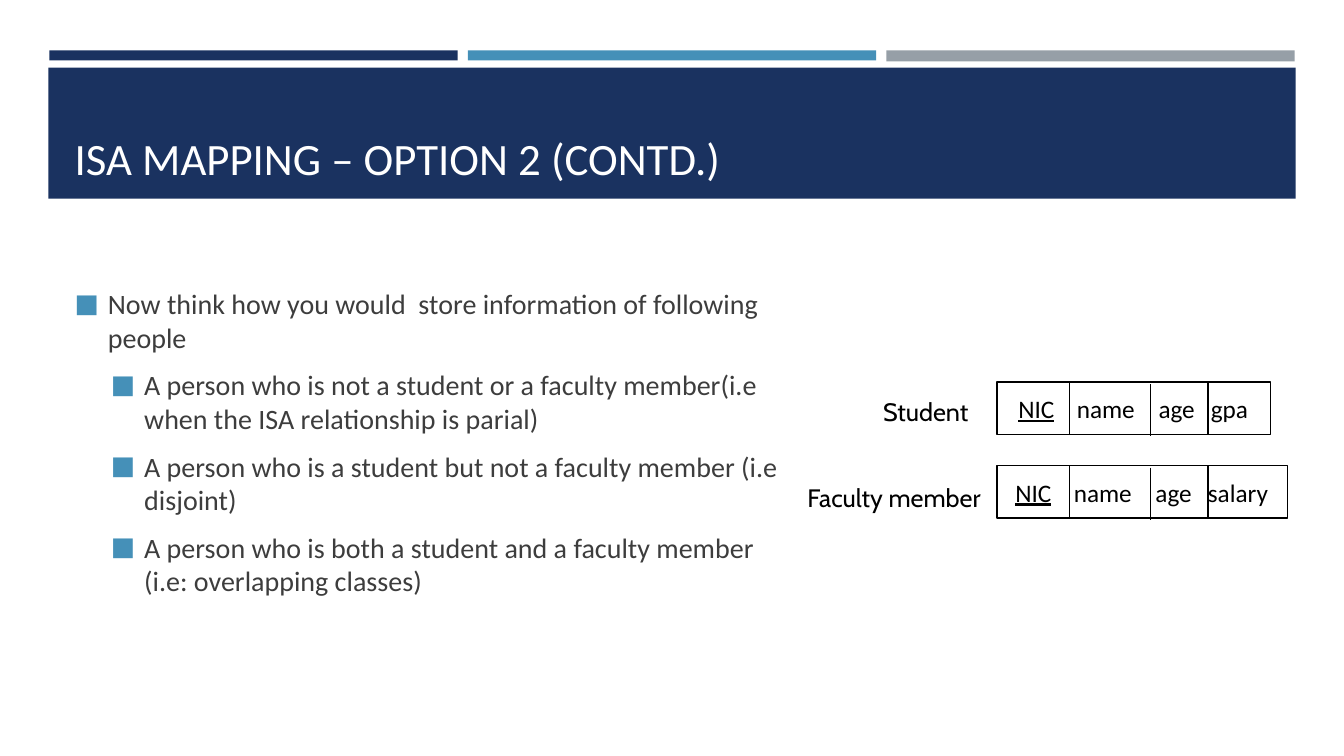
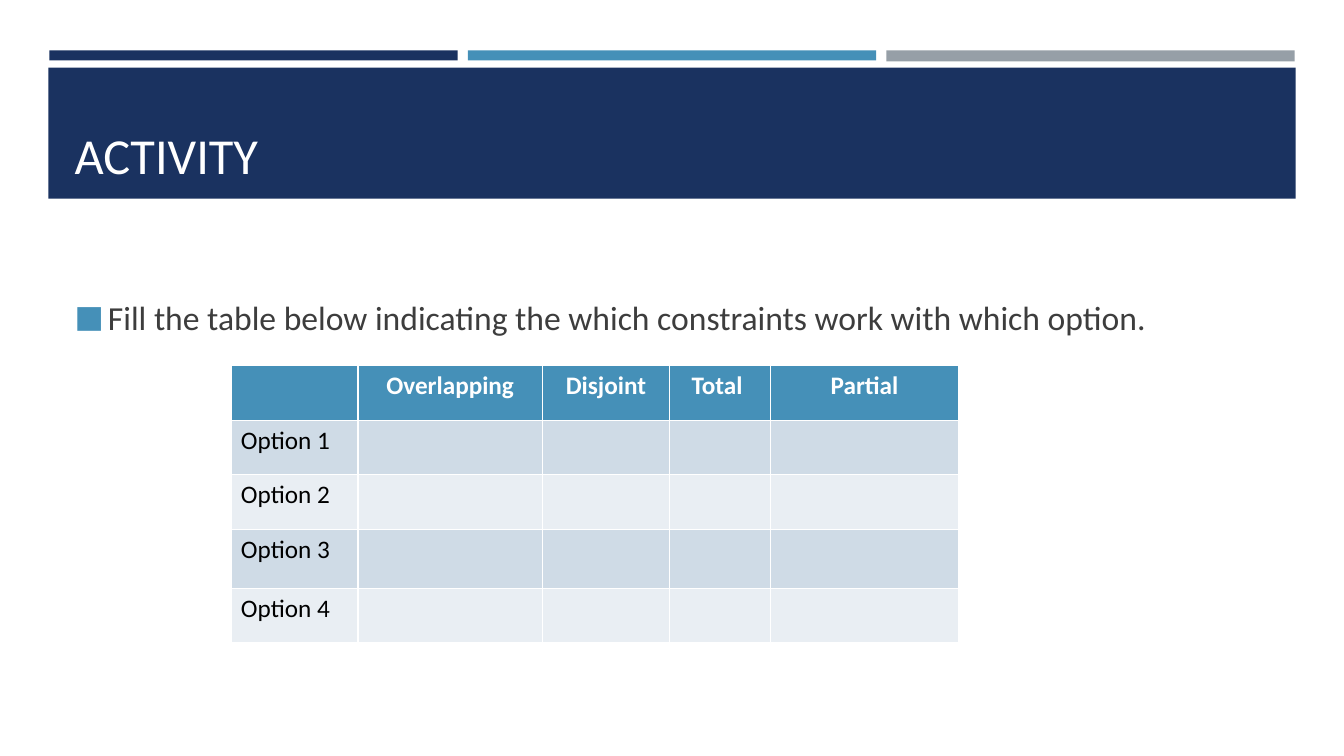
"""Builds two slides on mapping ISA relationships to tables."""
from lxml import etree
from pptx import Presentation
from pptx.dml.color import RGBColor
from pptx.enum.shapes import MSO_CONNECTOR, MSO_SHAPE
from pptx.enum.text import MSO_ANCHOR, MSO_AUTO_SIZE, PP_ALIGN
from pptx.oxml.ns import qn
from pptx.util import Inches, Pt

RECTANGLE, STRAIGHT = MSO_SHAPE.RECTANGLE, MSO_CONNECTOR.STRAIGHT
MIDDLE, BOTTOM = MSO_ANCHOR.MIDDLE, MSO_ANCHOR.BOTTOM
LEFT, CENTER = PP_ALIGN.LEFT, PP_ALIGN.CENTER
NO_AUTOFIT = MSO_AUTO_SIZE.NONE

COLORS = {
    "navy": "1A3260", "blue": "4590B8", "gray": "969FA7", "text": "3D3D3D",
    "white": "FFFFFF", "black": "000000", "odd": "CFDBE6", "even": "E9EEF3",
}
BANDS = [
    ("navy", 0.49, 0.5, 4.05, 0.1),
    ("blue", 4.64, 0.5, 4.05, 0.1),
    ("gray", 8.79, 0.5, 4.05, 0.11),
    ("navy", 0.48, 0.67, 12.37, 1.3),
]
TITLE_BOX = (0.64, 0.77, 12.06, 1.11)

MAPPING = {
    "title": "ISA MAPPING – OPTION 2 (CONTD.)", "title_size": 32,
    "box": (0.64, 2.38, 7.28, 4.01), "size": 20,
    "bullets": [
        (0, "Now think how you would  store information of following people"),
        (1, "A person who is not a student or a faculty member(i.e when the ISA relationship is parial)"),
        (1, "A person who is a student but not a faculty member (i.e disjoint)"),
        (1, "A person who is both a student and a faculty member (i.e: overlapping classes)"),
    ],
}
ACTIVITY = {
    "title": "ACTIVITY", "title_size": 36,
    "box": (0.64, 2.38, 12.06, 1.54), "size": 24,
    "bullets": [(0, "Fill the table below indicating the which constraints work with which option.")],
}

RELATIONS = [
    {"name": "Student", "label": (8.66, 3.88, 1.06, 0.4), "box": (9.89, 3.79, 2.71, 0.52),
     "inset": 0.21, "key": "NIC", "fields": ["name", "age", "gpa"]},
    {"name": "Faculty member", "label": (7.91, 4.74, 1.98, 0.4), "box": (9.89, 4.62, 2.88, 0.52),
     "inset": 0.18, "key": "NIC", "fields": ["name", "age", "salary"]},
]
FIELD_TABS = [0.58, 1.39, 1.91]
DIVIDERS = [(10.61, 0), (11.41, 0.02), (11.98, 0)]

TABLE_BOX = (2.29, 3.63, 7.22, 2.76)
COLUMN_WIDTHS = [1.26, 1.83, 1.26, 1, 1.87]
ROW_HEIGHTS = [0.54, 0.54, 0.54, 0.59, 0.54]
HEADERS = ["", "Overlapping", "Disjoint", "Total ", "Partial"]
OPTIONS = ["Option 1", "Option 2", "Option 3", "Option 4"]


def rgb(name):
    return RGBColor.from_string(COLORS[name])


def inches(values):
    return [Inches(value) for value in values]


def set_all(target, values):
    for name, value in values.items():
        setattr(target, name, value)


def place(shape, box):
    set_all(shape, dict(zip(("left", "top", "width", "height"), inches(box))))


def add_run(paragraph, text, size, color, font="Calibri", **formats):
    run = paragraph.add_run()
    run.text = text
    run.font.color.rgb = rgb(color)
    set_all(run.font, {"name": font, "size": Pt(size), **formats})


def add_rectangle(slide, box, fill, line=None):
    shape = slide.shapes.add_shape(RECTANGLE, *inches(box))
    shape.shadow.inherit = False
    shape.fill.solid()
    shape.fill.fore_color.rgb = rgb(fill)
    if line:
        shape.line.color.rgb = rgb(line)
        shape.line.width = Pt(1)
    else:
        shape.line.fill.background()
    return shape


def add_divider(slide, x, top, height):
    divider = slide.shapes.add_connector(STRAIGHT, *inches((x, top, x, top + height)))
    divider.line.color.rgb = rgb("black")
    divider.line.width = Pt(1)
    etree.SubElement(divider._element.spPr, qn("a:effectLst"))


def style_layout(layout, slide):
    """Moves the shared bands behind the layout's placeholders."""
    for index, (color, *box) in enumerate(BANDS):
        band = add_rectangle(slide, box, color)
        layout.shapes._spTree.insert(2 + index, band._element)
    title = layout.placeholders[0]
    place(title, TITLE_BOX)
    set_all(title.text_frame, {"vertical_anchor": BOTTOM, "auto_size": NO_AUTOFIT})


def set_bullet(paragraph, level):
    properties = paragraph._p.get_or_add_pPr()
    properties.set("marL", str(Inches(0.33 + 0.36 * level)))
    properties.set("indent", str(Inches(-0.33)))
    color = etree.SubElement(properties, qn("a:buClr"))
    etree.SubElement(color, qn("a:srgbClr"), val=COLORS["blue"])
    etree.SubElement(properties, qn("a:buSzPct"), val="92000")
    etree.SubElement(properties, qn("a:buFont"), typeface="Calibri")
    etree.SubElement(properties, qn("a:buChar"), char="■")


def fill_placeholders(slide, content):
    title = slide.shapes.title.text_frame.paragraphs[0]
    title.alignment = LEFT
    add_run(title, content["title"], content["title_size"], "white")
    body = slide.placeholders[1]
    place(body, content["box"])
    frame = body.text_frame
    set_all(frame, {"vertical_anchor": MIDDLE, "auto_size": NO_AUTOFIT})
    size = content["size"]
    for index, (level, text) in enumerate(content["bullets"]):
        paragraph = frame.add_paragraph() if index else frame.paragraphs[0]
        set_all(paragraph, {"level": level, "space_before": Pt(size * 0.2), "space_after": Pt(6)})
        set_bullet(paragraph, level)
        add_run(paragraph, text, size, "text")


def add_relation(slide, relation):
    label = slide.shapes.add_textbox(*inches(relation["label"])).text_frame
    label.word_wrap = False
    add_run(label.paragraphs[0], relation["name"], 18, "black", "Cabin")

    box = relation["box"]
    frame = add_rectangle(slide, box, "white", "black").text_frame
    set_all(frame, {"margin_left": Inches(relation["inset"]), "margin_right": 0,
                    "vertical_anchor": MIDDLE, "word_wrap": True})
    paragraph = frame.paragraphs[0]
    paragraph.alignment = LEFT
    tabs = etree.SubElement(paragraph._p.get_or_add_pPr(), qn("a:tabLst"))
    for position in FIELD_TABS:
        etree.SubElement(tabs, qn("a:tab"), pos=str(Inches(position)), algn="l")
    add_run(paragraph, relation["key"], 18, "black", underline=True)
    add_run(paragraph, "".join("\t" + field for field in relation["fields"]), 18, "black")
    for x, drop in DIVIDERS:
        add_divider(slide, x, box[1] + drop, box[3])


def add_options_table(slide):
    rows = [HEADERS] + [[option] + [""] * (len(HEADERS) - 1) for option in OPTIONS]
    table = slide.shapes.add_table(len(rows), len(HEADERS), *inches(TABLE_BOX)).table
    for column, width in zip(table.columns, COLUMN_WIDTHS):
        column.width = Inches(width)
    for row_index, texts in enumerate(rows):
        table.rows[row_index].height = Inches(ROW_HEIGHTS[row_index])
        header = row_index == 0
        fill = "blue" if header else ("even", "odd")[row_index % 2]
        for column_index, text in enumerate(texts):
            cell = table.cell(row_index, column_index)
            cell.fill.solid()
            cell.fill.fore_color.rgb = rgb(fill)
            if text:
                paragraph = cell.text_frame.paragraphs[0]
                paragraph.alignment = CENTER if header else LEFT
                add_run(paragraph, text, 18, "white" if header else "black", bold=header)


def main():
    presentation = Presentation()
    set_all(presentation, {"slide_width": Inches(13.33), "slide_height": Inches(7.5)})
    layout = presentation.slide_layouts[1]
    mapping, activity = [presentation.slides.add_slide(layout) for _ in range(2)]
    style_layout(layout, mapping)

    fill_placeholders(mapping, MAPPING)
    for relation in RELATIONS:
        add_relation(mapping, relation)

    fill_placeholders(activity, ACTIVITY)
    add_options_table(activity)
    presentation.save("out.pptx")


if __name__ == "__main__":
    main()
